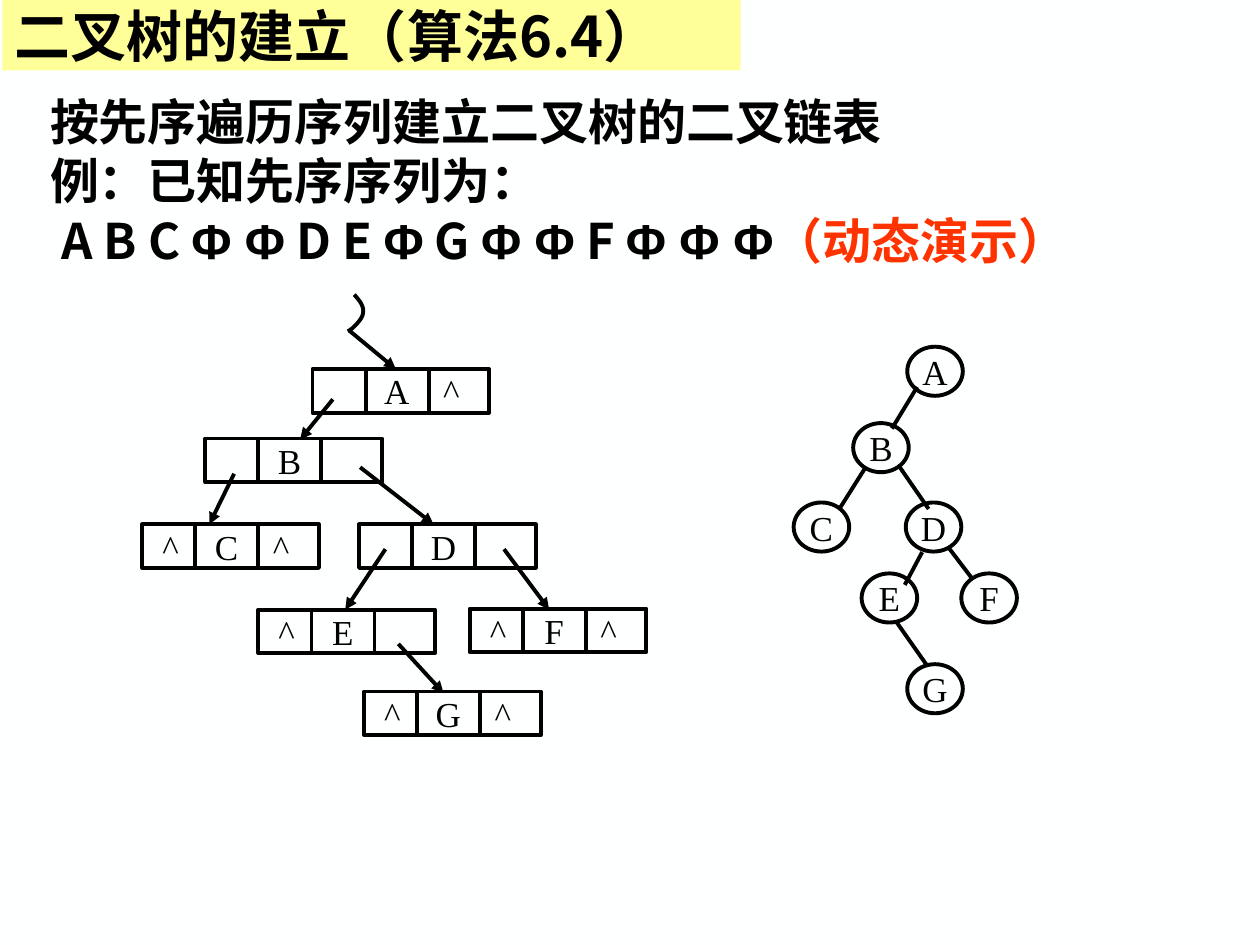
from lxml import etree
from pptx import Presentation
from pptx.dml.color import RGBColor
from pptx.enum.shapes import MSO_CONNECTOR, MSO_SHAPE
from pptx.enum.text import MSO_ANCHOR, PP_ALIGN
from pptx.oxml.ns import qn
from pptx.util import Cm, Pt

STRAIGHT = MSO_CONNECTOR.STRAIGHT
OVAL, RECTANGLE = MSO_SHAPE.OVAL, MSO_SHAPE.RECTANGLE
MIDDLE, TOP = MSO_ANCHOR.MIDDLE, MSO_ANCHOR.TOP
CENTER, LEFT = PP_ALIGN.CENTER, PP_ALIGN.LEFT

COLORS = {"ink": "000000", "accent": "FF3300", "title": "FFFF99", "page": "FEFFFF"}
HEI, SYMBOL, SERIF = "Noto Sans CJK SC", "Arial", "Times New Roman"
STROKE = Pt(2.25)

NODE_WIDTH, NODE_HEIGHT = 1.12, 0.99
TREE_NODES = {
    "A": (18.29, 6.99), "B": (17.2, 8.53), "C": (16, 10.13), "D": (18.26, 10.13),
    "E": (17.37, 11.56), "F": (19.38, 11.56), "G": (18.29, 13.39),
}
TREE_EDGES = [
    (18.49, 7.8, 17.98, 8.64), (17.45, 9.42, 16.92, 10.26),
    (18.14, 9.42, 18.72, 10.26), (18.59, 11.13, 18.24, 11.79),
    (19.13, 11.05, 19.61, 11.68), (18.08, 12.55, 18.67, 13.39),
]

RECORD_WIDTH, RECORD_HEIGHT = 3.56, 0.88
DIVIDERS = (1.07, 2.34)
FIELD_CENTERS = (0.57, 1.7, 2.8)
RECORDS = [
    (("", "A", "^"), 6.3, 7.44), (("", "B", ""), 4.14, 8.84),
    (("^", "C", "^"), 2.87, 10.57), (("", "D", ""), 7.24, 10.57),
    (("^", "E", ""), 5.21, 12.29), (("^", "F", "^"), 9.47, 12.27),
    (("^", "G", "^"), 7.34, 13.94),
]
POINTERS = [
    (6.71, 8.05, 6.05, 8.86), (4.72, 9.55, 4.22, 10.57), (7.26, 9.42, 8.74, 10.57),
    (7.77, 11.07, 6.96, 12.29), (10.16, 11.07, 11.07, 12.29),
    (8.03, 12.98, 8.94, 13.97), (7.06, 6.68, 7.98, 7.44),
]
ROOT_CURVE = [
    ((7.14, 5.94), (7.24, 6.05), (7.34, 6.17), (7.32, 6.3)),
    ((7.32, 6.3), (7.32, 6.43), (7.09, 6.65), (7.01, 6.68)),
]

INTRO = [
    [("按先序遍历序列建立二叉树的二叉链表", HEI, "ink")],
    [("例：已知先序序列为：", HEI, "ink")],
    [(" A B C ", HEI, "ink"), ("Φ Φ", SYMBOL, "ink"), (" D E ", HEI, "ink"),
     ("Φ", SYMBOL, "ink"), (" G ", HEI, "ink"), ("Φ Φ", SYMBOL, "ink"),
     (" F ", HEI, "ink"), ("Φ Φ Φ", SYMBOL, "ink"), ("（动态演示）", HEI, "accent")],
]


def rgb(name):
    return RGBColor.from_string(COLORS[name])


def set_values(target, values):
    for name, value in values.items():
        setattr(target, name, value)


def add_run(paragraph, text, face, size, color="ink", bold=False):
    run = paragraph.add_run()
    run.text = text
    set_values(run.font, {"name": face, "size": Pt(size), "bold": bold})
    run.font.color.rgb = rgb(color)
    etree.SubElement(run.font._element, qn("a:ea"), typeface=HEI)


def format_frame(frame, wrap, anchor, inset_x=0, inset_y=0):
    set_values(frame, {
        "word_wrap": wrap, "vertical_anchor": anchor,
        "margin_left": Cm(inset_x), "margin_right": Cm(inset_x),
        "margin_top": Cm(inset_y), "margin_bottom": Cm(inset_y),
    })


def outline(shape):
    shape.shadow.inherit = False
    shape.fill.background()
    shape.line.color.rgb = rgb("ink")
    shape.line.width = STROKE


def add_line(slide, x1, y1, x2, y2, arrow=False):
    line = slide.shapes.add_connector(STRAIGHT, Cm(x1), Cm(y1), Cm(x2), Cm(y2))
    line.line.color.rgb = rgb("ink")
    line.line.width = STROKE
    if arrow:
        etree.SubElement(line.line._get_or_add_ln(), qn("a:tailEnd"), type="triangle")
    etree.SubElement(line._element.spPr, qn("a:effectLst"))


def add_tree_node(slide, label, left, top):
    node = slide.shapes.add_shape(OVAL, Cm(left), Cm(top), Cm(NODE_WIDTH), Cm(NODE_HEIGHT))
    outline(node)
    format_frame(node.text_frame, False, MIDDLE)
    paragraph = node.text_frame.paragraphs[0]
    paragraph.alignment = CENTER
    add_run(paragraph, label, SERIF, 20)


def add_record(slide, fields, left, top):
    """Draw a list node with left link, data and right link fields."""
    record = slide.shapes.add_shape(
        RECTANGLE, Cm(left), Cm(top), Cm(RECORD_WIDTH), Cm(RECORD_HEIGHT))
    outline(record)
    format_frame(record.text_frame, True, MIDDLE)
    paragraph = record.text_frame.paragraphs[0]
    paragraph.alignment = LEFT
    tabs = etree.SubElement(paragraph._p.get_or_add_pPr(), qn("a:tabLst"))
    for center in FIELD_CENTERS:
        etree.SubElement(tabs, qn("a:tab"), pos=str(Cm(center)), algn="ctr")
    add_run(paragraph, "".join("\t" + field for field in fields).rstrip(), SERIF, 20)
    for offset in DIVIDERS:
        add_line(slide, left + offset, top, left + offset, top + RECORD_HEIGHT)


def bezier_points(start, control1, control2, end, steps=12):
    for step in range(1, steps + 1):
        t = step / steps
        weights = ((1 - t) ** 3, 3 * t * (1 - t) ** 2, 3 * t * t * (1 - t), t ** 3)
        yield tuple(Cm(sum(w * point[axis] for w, point in
                           zip(weights, (start, control1, control2, end))))
                    for axis in (0, 1))


def add_root_curve(slide):
    x, y = ROOT_CURVE[0][0]
    builder = slide.shapes.build_freeform(Cm(x), Cm(y))
    points = [point for segment in ROOT_CURVE for point in bezier_points(*segment)]
    builder.add_line_segments(points, close=False)
    outline(builder.convert_to_shape())


def add_title(slide):
    title = slide.shapes.title
    set_values(title, {"left": Cm(0.05), "top": Cm(0),
                       "width": Cm(14.88), "height": Cm(1.42)})
    title.fill.solid()
    title.fill.fore_color.rgb = rgb("title")
    format_frame(title.text_frame, True, MIDDLE, 0.25, 0.13)
    paragraph = title.text_frame.paragraphs[0]
    paragraph.alignment = LEFT
    add_run(paragraph, "二叉树的建立（算法6.4）", HEI, 32, bold=True)


def add_intro(slide):
    frame = slide.shapes.add_textbox(Cm(0.76), Cm(1.7), Cm(23.95), Cm(3.81)).text_frame
    format_frame(frame, True, TOP, 0.25, 0.13)
    for index, pieces in enumerate(INTRO):
        paragraph = frame.add_paragraph() if index else frame.paragraphs[0]
        paragraph.line_spacing = Pt(34)
        for text, face, color in pieces:
            add_run(paragraph, text, face, 28, color, bold=True)


def main():
    prs = Presentation()
    prs.slide_width, prs.slide_height = Cm(25.4), Cm(19.05)
    slide = prs.slides.add_slide(prs.slide_layouts[5])
    slide.background.fill.solid()
    slide.background.fill.fore_color.rgb = rgb("page")
    add_title(slide)
    add_intro(slide)
    for label, (left, top) in TREE_NODES.items():
        add_tree_node(slide, label, left, top)
    for edge in TREE_EDGES:
        add_line(slide, *edge)
    for record in RECORDS:
        add_record(slide, *record)
    for pointer in POINTERS:
        add_line(slide, *pointer, arrow=True)
    add_root_curve(slide)
    prs.save("out.pptx")


if __name__ == "__main__":
    main()
